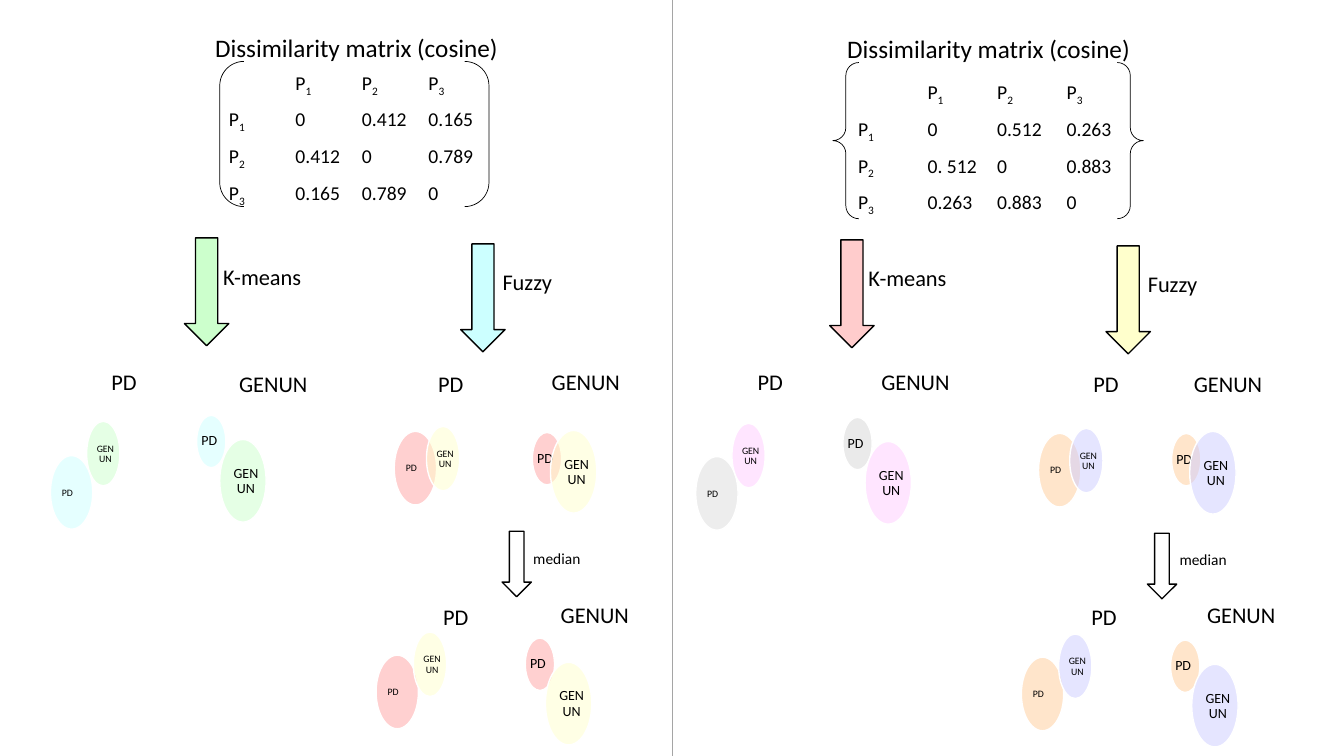
from dataclasses import dataclass

from lxml import etree
from pptx import Presentation
from pptx import util as u
from pptx.dml.color import RGBColor
from pptx.enum import shapes, text
from pptx.oxml.ns import qn


@dataclass(frozen=True)
class Theme:
    """Colours and type sizes of the slide."""
    font: str = "Calibri"
    ink: str = "000000"
    paper: str = "FFFFFF"
    rule: str = "A5A5A5"
    title: int = 18
    label: int = 16
    cell: int = 14
    note: int = 11
    large: int = 10
    small: int = 7
    mint: str = "CCFFCC"
    aqua: str = "CCFFFF"
    rose: str = "FFCCCC"
    lemon: str = "FFFFCC"
    coral: str = "FFA3A3"
    peach: str = "FFCC99"
    lilac: str = "CCCCFF"
    pink: str = "FFCCFF"
    grey: str = "DDDDDD"
    silver: str = "EAEAEA"


THEME = Theme()
SHAPE = shapes.MSO_SHAPE
CENTER, LEFT = text.PP_ALIGN.CENTER, text.PP_ALIGN.LEFT
NO_STYLE = "{2D5ABB26-0587-4C30-8999-92F81FD0307C}"
OPACITY = {THEME.silver: 100}

MATRICES = [
    ("Dissimilarity matrix (cosine)", (1.79, 0.27), (2.17, 0.66), (0.66, 0.68),
     SHAPE.DOUBLE_BRACKET, (2.18, 0.61, 2.67, 1.44),
     [["0", "0.412", "0.165"], ["0.412", "0", "0.789"], ["0.165", "0.789", "0"]]),
    ("Dissimilarity matrix (cosine)", (8.06, 0.28), (8.41, 0.75), (0.69, 0.71),
     SHAPE.DOUBLE_BRACE, (8.26, 0.62, 3.08, 1.55),
     [["0", "0.512", "0.263"], ["0. 512", "0", "0.883"], ["0.263", "0.883", "0"]]),
]

BIG_ARROW, SMALL_ARROW = (0.44, 1.07), (0.29, 0.65)
METHOD = ((1.1, 0.37), THEME.label, CENTER)
MEDIAN = ((0.81, 0.29), THEME.note, LEFT)
STEPS = [
    ("K-means", METHOD, (1.83, 2.36), BIG_ARROW, THEME.mint, (0.22, 0.2)),
    ("Fuzzy", METHOD, (4.57, 2.42), BIG_ARROW, THEME.aqua, (0.11, 0.19)),
    ("median", MEDIAN, (4.98, 5.27), SMALL_ARROW, THEME.paper, (0.21, 0.13)),
    ("K-means", METHOD, (8.23, 2.38), BIG_ARROW, THEME.rose, (0.22, 0.19)),
    ("Fuzzy", METHOD, (10.97, 2.44), BIG_ARROW, THEME.lemon, (0.11, 0.19)),
    ("median", MEDIAN, (11.38, 5.29), SMALL_ARROW, THEME.paper, (0.22, 0.12)),
]

HEADINGS = [("PD", (0.62, 0.37)), ("GENUN", (1.04, 0.37))]
BLOBS = [
    ("PD ", (0.42, 0.73), (0.06, 0.09, 0.24, 0.56), THEME.small),
    ("GENUN", (0.33, 0.64), (0.09, 0.08, 0.19, 0.49), THEME.small),
    ("PD ", (0.29, 0.52), (0.04, 0.06, 0.17, 0.4), THEME.large),
    ("GENUN", (0.46, 0.82), (0.13, 0.1, 0.26, 0.63), THEME.large),
]
CLUSTERS = [
    ([(0.92, 3.6), (2.19, 3.62)],
     [(0.5, 4.52), (0.86, 4.18), (1.95, 4.12), (2.18, 4.36)],
     (THEME.aqua, THEME.mint) * 2),
    ([(4.16, 3.62), (5.29, 3.6)],
     [(3.91, 4.28), (4.23, 4.23), (5.28, 4.29), (5.46, 4.27)],
     (THEME.coral, THEME.lemon) * 2),
    ([(4.21, 5.93), (5.38, 5.91)],
     [(3.73, 6.5), (4.1, 6.27), (5.21, 6.33), (5.41, 6.57)],
     (THEME.coral, THEME.lemon) * 2),
    ([(7.33, 3.6), (8.56, 3.6)],
     [(6.9, 4.53), (7.26, 4.2), (8.36, 4.14), (8.58, 4.38)],
     (THEME.grey, THEME.pink, THEME.silver, THEME.pink)),
    ([(10.66, 3.62), (11.66, 3.62)],
     [(10.3, 4.3), (10.61, 4.25), (11.62, 4.3), (11.8, 4.28)],
     (THEME.peach, THEME.lilac) * 2),
    ([(10.64, 5.93), (11.79, 5.91)],
     [(10.13, 6.52), (10.5, 6.29), (11.61, 6.35), (11.82, 6.59)],
     (THEME.peach, THEME.lilac) * 2),
]


def inches(*lengths):
    """Turn plain numbers into lengths."""
    return [u.Inches(length) for length in lengths]


def apply(target, values):
    """Set each named attribute on the target."""
    for name, value in values.items():
        setattr(target, name, value)


def add_span(para, words, size, baseline=0):
    """Add one run of text, optionally lowered."""
    span = para.add_run()
    span.text = words
    apply(span.font, {"name": THEME.font, "size": u.Pt(size)})
    span.font.color.rgb = RGBColor.from_string(THEME.ink)
    if baseline:
        span.font._element.set("baseline", str(baseline * 1000))


def add_text(parent, words, place, size, align=CENTER, tight=False):
    """Add a wrapped text box, tight ones without insets."""
    box = parent.shapes.add_textbox(*inches(*place))
    frame = box.text_frame
    frame.word_wrap = True
    para = frame.paragraphs[0]
    para.alignment = align
    if tight:
        apply(frame, {"margin_left": 0, "margin_right": 0, "margin_top": 0,
                      "margin_bottom": 0, "vertical_anchor": text.MSO_ANCHOR.MIDDLE})
        para.line_spacing = 0.9
    add_span(para, words, size)


def add_figure(parent, kind, place, fill, line, width, opacity=100):
    """Add a preset shape with a fill, if any, and an outline."""
    figure = parent.shapes.add_shape(kind, *inches(*place))
    figure.shadow.inherit = False
    figure.line.color.rgb = RGBColor.from_string(line)
    figure.line.width = u.Pt(width)
    if fill is None:
        figure.fill.background()
        return
    figure.fill.solid()
    figure.fill.fore_color.rgb = RGBColor.from_string(fill)
    if opacity < 100:
        colour = figure.element.spPr.find(qn("a:solidFill"))[0]
        etree.SubElement(colour, qn("a:alpha"), val=str(opacity * 1000))


def add_matrix(page, title, title_at, table_at, columns, kind, enclosure, values):
    """Add a titled distance matrix inside its brackets."""
    wide, last = columns
    widths = [wide] * 3 + [last]
    frame = page.shapes.add_table(4, 4, *inches(*table_at, sum(widths), 1.08))
    for style in frame.element.iter(qn("a:tableStyleId")):
        style.text = NO_STYLE
    table = frame.table
    apply(table, {"first_row": False, "horz_banding": False})
    for column, width in zip(table.columns, widths):
        column.width = u.Inches(width)
    for row in range(4):
        for column in range(4):
            cell = table.cell(row, column)
            cell.fill.background()
            para = cell.text_frame.paragraphs[0]
            if row and column:
                add_span(para, values[row - 1][column - 1], THEME.cell)
            elif row or column:
                add_span(para, "P", THEME.cell)
                add_span(para, str(row or column), THEME.cell, -25)
            else:
                para.font.size = u.Pt(THEME.cell)
    add_figure(page, kind, enclosure, None, THEME.ink, 0.5)
    add_text(page, title, (*title_at, 3.49, 0.4), THEME.title)


def add_cluster(page, heading_spots, blob_spots, colours):
    """Add one group of headed, labelled ellipses."""
    group = page.shapes.add_group_shape()
    for (words, extent), spot in zip(HEADINGS, heading_spots):
        add_text(group, words, spot + extent, THEME.label)
    for (words, extent, label, size), (left, top), colour in zip(BLOBS, blob_spots, colours):
        add_figure(group, SHAPE.OVAL, (left, top, *extent), colour, THEME.paper, 1,
                   OPACITY.get(colour, 50))
        across, down, *room = label
        add_text(group, words, (left + across, top + down, *room), size, tight=True)


def main():
    """Build the slide and save it."""
    deck = Presentation()
    deck.slide_width, deck.slide_height = inches(13.33, 7.5)
    page = deck.slides.add_slide(deck.slide_layouts[6])
    for matrix in MATRICES:
        add_matrix(page, *matrix)
    for words, (room, size, align), (left, top), extent, colour, (across, down) in STEPS:
        add_figure(page, SHAPE.DOWN_ARROW, (left, top, *extent), colour, THEME.ink, 1)
        add_text(page, words, (left + across, top + down, *room), size, align)
    divider = page.shapes.add_connector(shapes.MSO_CONNECTOR.STRAIGHT,
                                        *inches(6.67, 0, 6.67, 7.5))
    divider.line.color.rgb = RGBColor.from_string(THEME.rule)
    divider.line.width = u.Pt(0.5)
    etree.SubElement(divider.element.spPr, qn("a:effectLst"))
    for cluster in CLUSTERS:
        add_cluster(page, *cluster)
    deck.save("out.pptx")


if __name__ == "__main__":
    main()
